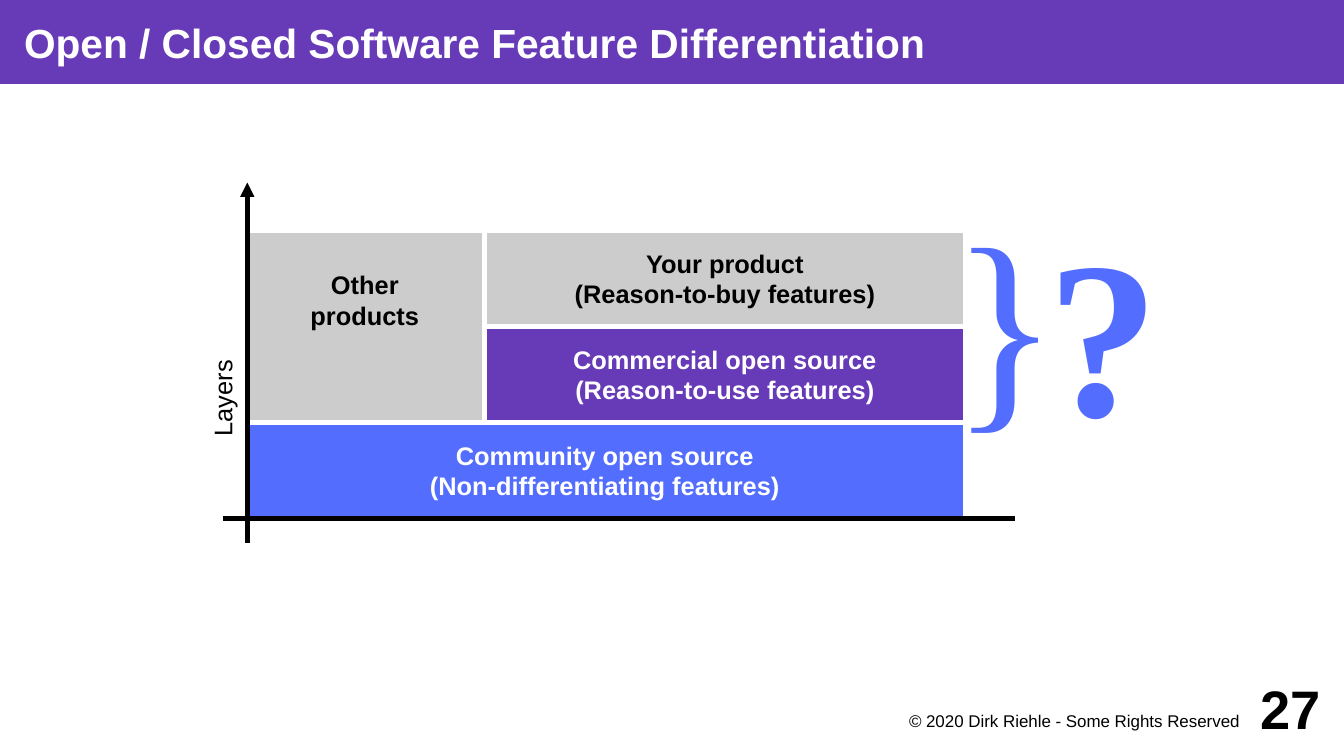
from lxml import etree
from pptx import Presentation
from pptx.dml.color import RGBColor
from pptx.enum.shapes import MSO_CONNECTOR, MSO_SHAPE
from pptx.enum.text import MSO_ANCHOR, PP_ALIGN
from pptx.oxml.ns import qn
from pptx.util import Pt

RECTANGLE = MSO_SHAPE.RECTANGLE
STRAIGHT = MSO_CONNECTOR.STRAIGHT
TOP, MIDDLE, BOTTOM = MSO_ANCHOR.TOP, MSO_ANCHOR.MIDDLE, MSO_ANCHOR.BOTTOM
LEFT, CENTER, RIGHT = PP_ALIGN.LEFT, PP_ALIGN.CENTER, PP_ALIGN.RIGHT

PURPLE = RGBColor(0x67, 0x3A, 0xB7)
BLUE = RGBColor(0x53, 0x6D, 0xFE)
GREY = RGBColor(0xCC, 0xCC, 0xCC)
WHITE = RGBColor(0xFF, 0xFF, 0xFF)
BLACK = RGBColor(0, 0, 0)

SLIDE_WIDTH, SLIDE_HEIGHT = 793.44, 446.4
LINE_WIDTH = 2.83
INSET = 5.67

# Layer diagram: three equal rows, a narrow and a wide column
DIAGRAM_LEFT, DIAGRAM_TOP = 144.5, 136.1
ROW = 56.7
NARROW, WIDE = 141.7, 283.5


def write_text(shape, lines, size, color, bold=False, font="Arial",
               align=CENTER, anchor=MIDDLE, insets=(INSET,) * 4, wrap=True):
    frame = shape.text_frame
    left, top, right, bottom = (Pt(inset) for inset in insets)
    frame_format = {
        "margin_left": left, "margin_top": top,
        "margin_right": right, "margin_bottom": bottom,
        "word_wrap": wrap, "vertical_anchor": anchor,
    }
    for name, value in frame_format.items():
        setattr(frame, name, value)
    font_format = {"name": font, "size": Pt(size), "bold": bold}
    for index, line in enumerate(lines):
        paragraph = frame.add_paragraph() if index else frame.paragraphs[0]
        paragraph.alignment = align
        run = paragraph.add_run()
        run.text = line
        for name, value in font_format.items():
            setattr(run.font, name, value)
        run.font.color.rgb = color


def add_block(slide, box, fill, lines, size, color, outline=None, **text_format):
    block = slide.shapes.add_shape(RECTANGLE, *map(Pt, box))
    block.shadow.inherit = False
    block.fill.solid()
    block.fill.fore_color.rgb = fill
    if outline is None:
        block.line.fill.background()
    else:
        block.line.color.rgb = outline
        block.line.width = Pt(LINE_WIDTH)
    write_text(block, lines, size, color, bold=True, **text_format)


def add_label(slide, box, text, size, color, rotation=0, **text_format):
    label = slide.shapes.add_textbox(*map(Pt, box))
    label.rotation = rotation
    write_text(label, [text], size, color, **text_format)


def add_axis(slide, start, end, arrow=False):
    axis = slide.shapes.add_connector(STRAIGHT, *map(Pt, start + end))
    axis.line.color.rgb = BLACK
    axis.line.width = Pt(LINE_WIDTH)
    if arrow:
        etree.SubElement(axis.line._get_or_add_ln(), qn("a:tailEnd"), type="triangle")
    etree.SubElement(axis._element.spPr, qn("a:effectLst"))


def add_layers(slide):
    # column offset, first row, width, rows, fill, text colour, lines, top-anchored
    layers = [
        (0, 2, NARROW + WIDE, 1, BLUE, WHITE,
         ["Community open source", "(Non-differentiating features)"], {}),
        (0, 0, NARROW, 2, GREY, BLACK, ["Other", "products"],
         {"anchor": TOP, "insets": (INSET, 23, INSET, INSET)}),
        (NARROW, 1, WIDE, 1, PURPLE, WHITE,
         ["Commercial open source", "(Reason-to-use features)"], {}),
        (NARROW, 0, WIDE, 1, GREY, BLACK,
         ["Your product", "(Reason-to-buy features)"], {}),
    ]
    for offset, row, width, rows, fill, color, lines, placement in layers:
        box = (DIAGRAM_LEFT + offset, DIAGRAM_TOP + row * ROW, width, rows * ROW)
        add_block(slide, box, fill, lines, 15, color, outline=WHITE,
                  wrap=False, **placement)


def main():
    presentation = Presentation()
    presentation.slide_width = Pt(SLIDE_WIDTH)
    presentation.slide_height = Pt(SLIDE_HEIGHT)
    slide = presentation.slides.add_slide(presentation.slide_layouts[6])

    # Title bar
    add_block(slide, (0, 0, SLIDE_WIDTH, 49.6), PURPLE,
              ["Open / Closed Software Feature Differentiation"], 24, WHITE,
              align=LEFT, insets=(14.17, 0, 0, 0))

    # Layers and axes
    add_layers(slide)
    add_label(slide, (-2.8, 213.8, 255, 42.5), "Layers", 15, BLACK,
              rotation=270, anchor=BOTTOM)
    base = DIAGRAM_TOP + 3 * ROW
    add_axis(slide, (146, 320.4), (146, 107.8), arrow=True)
    add_axis(slide, (131.8, base), (599, base))

    # Open question about the upper layers
    add_label(slide, (521.3, 72, 144.7, 226.8), "}", 132, BLUE,
              font="Times New Roman")
    add_label(slide, (612.7, 114.5, 77, 157.7), "?", 132, BLUE, bold=True,
              font="Times New Roman")

    # Footer
    add_label(slide, (510.5, 418.3, 226.8, 21.3),
              "© 2020 Dirk Riehle - Some Rights Reserved", 10, BLACK,
              align=RIGHT, anchor=TOP, insets=(0, 1.4, INSET, 0))
    add_label(slide, (723, 396.8, 56.8, 42.5), "27", 32, BLACK, bold=True,
              align=RIGHT, insets=(0, 0, 0, 0))

    presentation.save("out.pptx")


if __name__ == "__main__":
    main()
